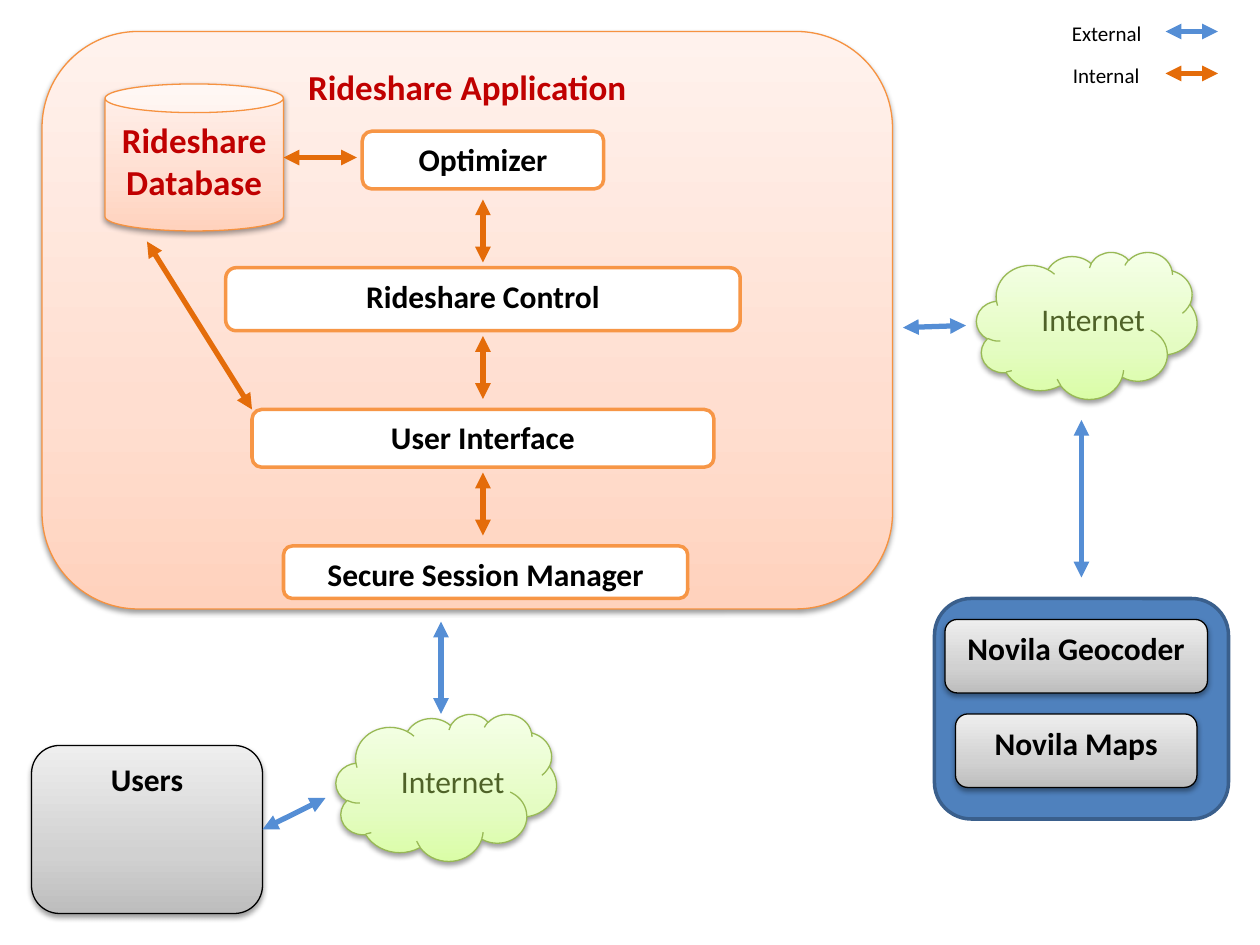
import dataclasses
import pptx
import pptx.dml.color
import pptx.enum.shapes
import pptx.enum.text
import pptx.oxml
import pptx.oxml.ns
import pptx.util


@dataclasses.dataclass(frozen=True)
class Theme:
    font: str = "Calibri"
    title: int = 20
    body: int = 18
    legend: int = 12
    thin: float = 0.75
    medium: int = 2
    thick: int = 3
    black: str = "000000"
    white: str = "FFFFFF"
    red: str = "C00000"
    olive: str = "4F6228"
    blue: str = "4F81BD"
    navy: str = "3A5F8C"
    orange: str = "F79646"
    amber: str = "F69240"
    leaf: str = "98B955"
    external: str = "558ED5"
    internal: str = "E46C0A"
    peach: tuple = ("FFD2BD", "FFDED0", "FFF2ED")
    green: tuple = ("DAFDA7", "E4FCC2", "F5FFE7")
    grey: tuple = ("BDBDBD", "D1D1D1", "EEEEEE")


theme = Theme()
color = pptx.dml.color.RGBColor.from_string
namespace = pptx.oxml.ns.nsdecls("a")
preset = pptx.enum.shapes.MSO_SHAPE
rounded = preset.ROUNDED_RECTANGLE

deck = pptx.Presentation()
deck.slide_width = pptx.util.Inches(10)
deck.slide_height = pptx.util.Inches(7.5)
page = deck.slides.add_slide(deck.slide_layouts[6])
column = deck.slide_width / 120
row = deck.slide_height / 90


def grid(*numbers):
    return [round(number * (row if place % 2 else column))
            for place, number in enumerate(numbers)]


def write(box, text, size=theme.body, ink=theme.black, bold=True,
          align=pptx.enum.text.PP_ALIGN.CENTER, wrap=True):
    frame = box.text_frame
    frame.word_wrap = wrap
    frame.vertical_anchor = pptx.enum.text.MSO_ANCHOR.TOP
    para = frame.paragraphs[0]
    para.alignment = align
    span = para.add_run()
    span.text = text
    span.font.name = theme.font
    span.font.size = pptx.util.Pt(size)
    span.font.bold = bold
    span.font.color.rgb = color(ink)


heading = dict(size=theme.title, ink=theme.red)
peach = (theme.peach, theme.amber, theme.thin)
green = (theme.green, theme.leaf, theme.thin)
grey = (theme.grey, theme.black, theme.thin)
module = (theme.white, theme.orange, theme.medium)
panel = (theme.blue, theme.navy, theme.medium)

shapes = [
    (preset.CLOUD, (32, 68, 21, 14), green, "", {}),
    (preset.CLOUD, (93, 24, 21, 14), green, "", {}),
    (rounded, (89, 57, 28, 21), panel, "", {}),
    (rounded, (4, 3, 81, 55), peach, "Rideshare Application", heading),
    (preset.CAN, (10, 8, 17, 14), peach, "Rideshare Database", heading),
    (rounded, (91, 68, 23, 7), grey, "Novila Maps", {}),
    (rounded, (90, 59, 25, 7), grey, "Novila Geocoder", {}),
    (rounded, (3, 71, 22, 16), grey, "Users", {}),
    (rounded, (34.5, 12.5, 23, 5.5), module, "Optimizer", {}),
    (rounded, (21.5, 25.5, 49, 6), module, "Rideshare Control", {}),
    (rounded, (24, 39, 44, 5.5), module, "User Interface", {}),
    (rounded, (27, 52, 38.5, 5), module, "Secure Session Manager", {}),
]
for kind, place, (fill, edge, width), text, style in shapes:
    box = page.shapes.add_shape(kind, *grid(*place))
    box.shadow.inherit = False
    box.line.color.rgb = color(edge)
    box.line.width = pptx.util.Pt(width)
    if kind == preset.CAN:
        box.adjustments[0] = 0.195
    if isinstance(fill, str):
        box.fill.solid()
        box.fill.fore_color.rgb = color(fill)
    else:
        box.fill.background()
        properties = box._element.spPr
        stops = "".join(
            f'<a:gs pos="{share * 1000}"><a:srgbClr val="{tint}"/></a:gs>'
            for share, tint in zip((0, 35, 100), fill))
        properties.replace(
            properties.find(pptx.oxml.ns.qn("a:noFill")),
            pptx.oxml.parse_xml(
                f'<a:gradFill {namespace} rotWithShape="1"><a:gsLst>{stops}'
                '</a:gsLst><a:lin ang="16200000" scaled="0"/></a:gradFill>'))
        properties.find(pptx.oxml.ns.qn("a:effectLst")).append(
            pptx.oxml.parse_xml(
                f'<a:outerShdw {namespace} blurRad="40000" dist="20000" '
                f'dir="5400000" rotWithShape="0"><a:srgbClr val="{theme.black}">'
                '<a:alpha val="38000"/></a:srgbClr></a:outerShdw>'))
    if text:
        write(box, text, **style)

labels = [
    ("Internet", (37, 72, 12.6, 4.8), theme.body, theme.olive),
    ("Internet", (98, 28, 12.6, 4.8), theme.body, theme.olive),
    ("External", (100.9, 1.4, 9.1, 3.6), theme.legend, theme.black),
    ("Internal", (101, 5.4, 8.8, 3.6), theme.legend, theme.black),
]
for text, place, size, ink in labels:
    box = page.shapes.add_textbox(*grid(*place))
    write(box, text, size=size, ink=ink, bold=False, wrap=False,
          align=pptx.enum.text.PP_ALIGN.LEFT)

external = [(42, 59.2, 42, 68), (31, 76, 25, 79), (103, 40, 103, 55),
            (111, 3, 116, 3), (86, 31.2, 92, 31)]
internal = [(46, top, 46, top + 6) for top in (19, 32, 45)]
internal += [(34, 15, 27, 15), (14, 23, 24, 39), (116, 7, 111, 7)]
for ink, routes in ((theme.external, external), (theme.internal, internal)):
    for route in routes:
        arrow = page.shapes.add_connector(
            pptx.enum.shapes.MSO_CONNECTOR.STRAIGHT, *grid(*route))
        arrow.line.color.rgb = color(ink)
        arrow.line.width = pptx.util.Pt(theme.thick)
        for end in ("headEnd", "tailEnd"):
            arrow.line._get_or_add_ln().append(
                pptx.oxml.parse_xml(f'<a:{end} {namespace} type="triangle"/>'))
        arrow._element.spPr.append(
            pptx.oxml.parse_xml(f"<a:effectLst {namespace}/>"))

deck.save("out.pptx")
